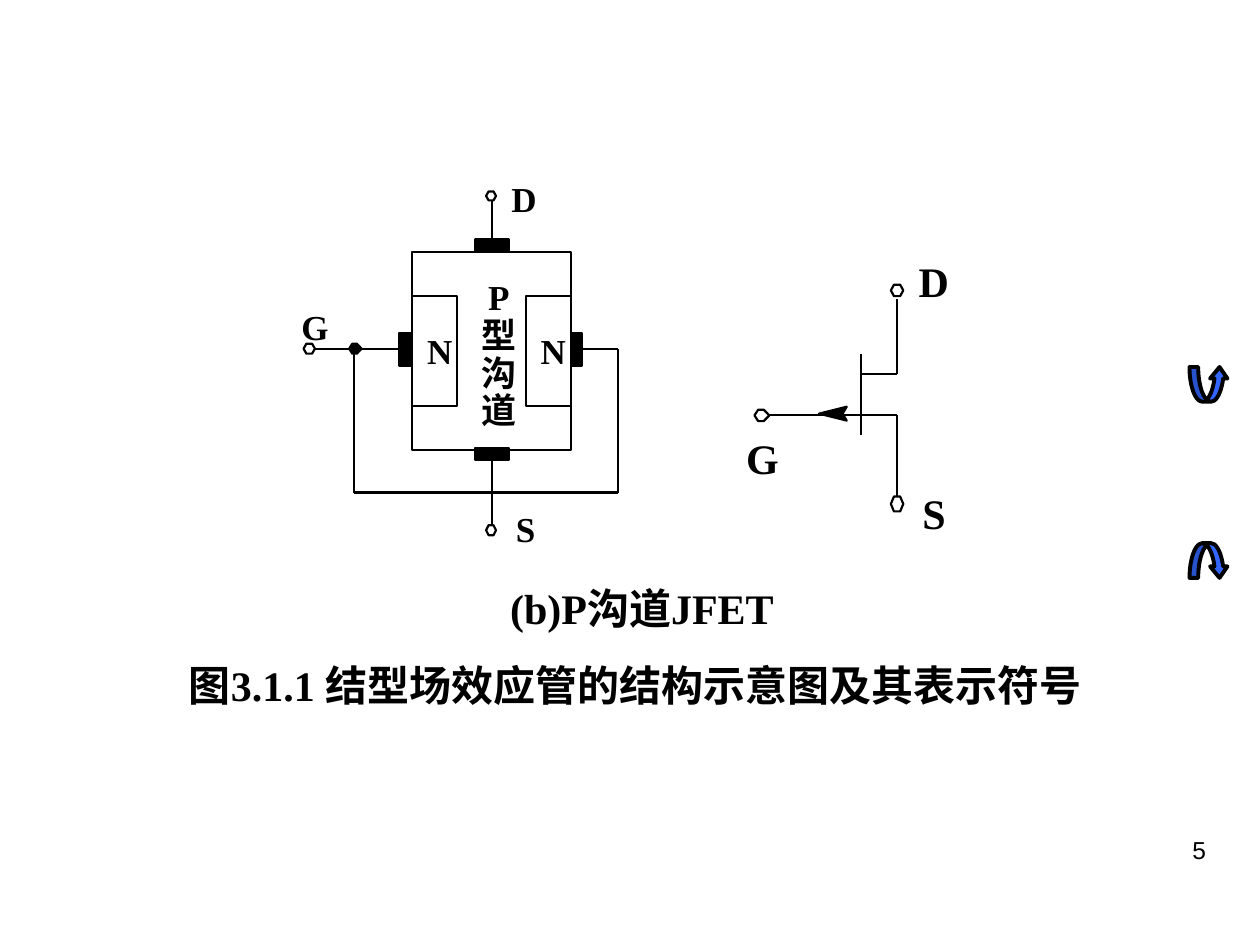
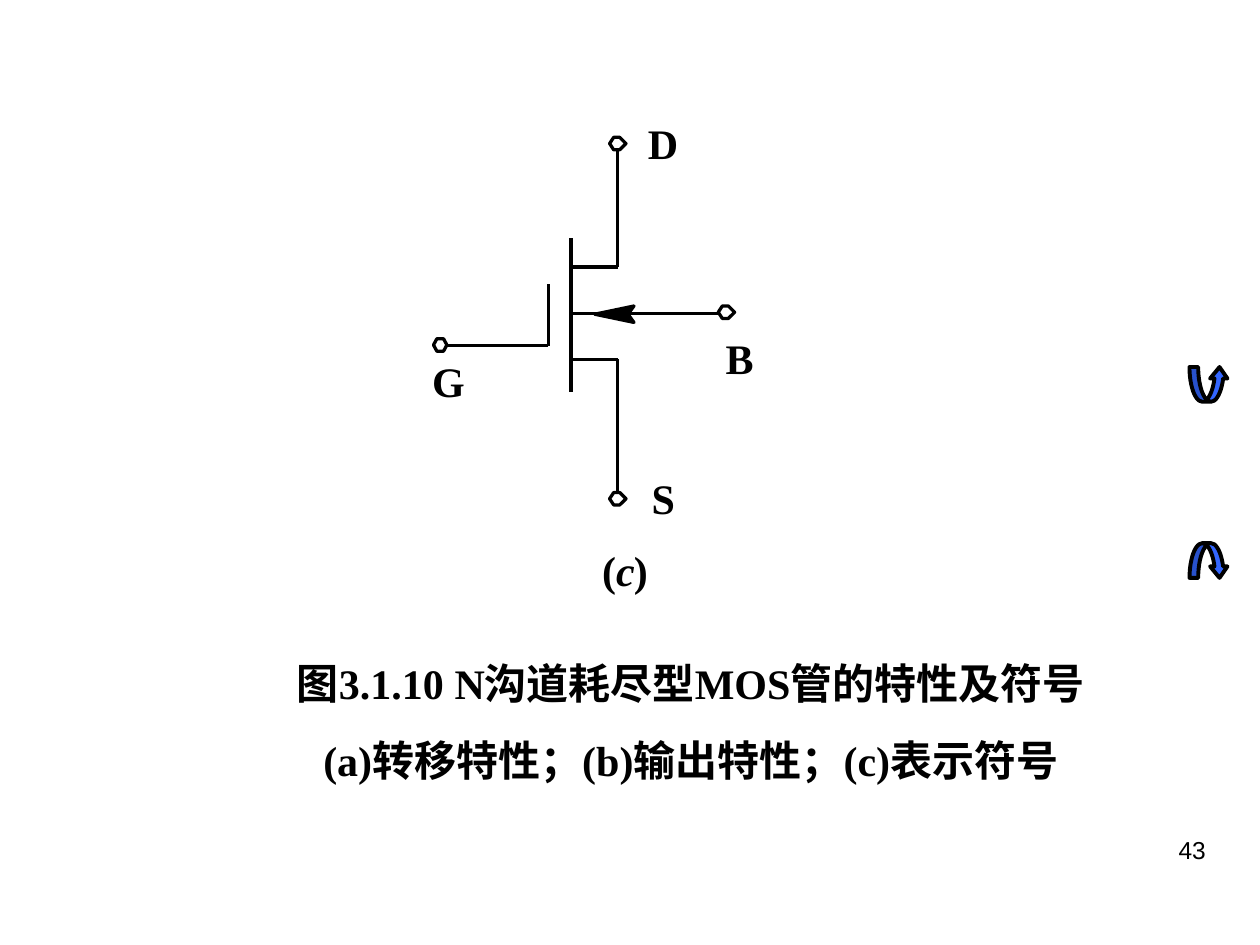
"""Build two slides with the structure and circuit symbols of field-effect transistors."""
import pptx
import pptx.dml.color
import pptx.enum.shapes
import pptx.enum.text
import pptx.oxml.ns
import pptx.util
from lxml import etree

Cm = pptx.util.Cm
Pt = pptx.util.Pt
ALIGN = pptx.enum.text.PP_ALIGN
PRESET = pptx.enum.shapes.MSO_SHAPE

BLACK = pptx.dml.color.RGBColor(0x00, 0x00, 0x00)
WHITE = pptx.dml.color.RGBColor(0xFF, 0xFF, 0xFF)
BLUE = pptx.dml.color.RGBColor(0x33, 0x66, 0xFF)
SERIF = "Times New Roman"
CHINESE = "Noto Sans CJK SC"


def add_text(slide, text, left, top, width, height, size=24, font=SERIF, bold=True,
             italic=False, align=ALIGN.CENTER, wrap=False, inset=0.0, gap=15):
    frame = slide.shapes.add_textbox(Cm(left), Cm(top), Cm(width), Cm(height)).text_frame
    frame.word_wrap = wrap
    frame.margin_left = frame.margin_right = Cm(inset)
    frame.margin_top = frame.margin_bottom = Cm(inset / 2)
    for index, line in enumerate(text.split("\n")):
        paragraph = frame.add_paragraph() if index else frame.paragraphs[0]
        paragraph.alignment = align
        if index:
            paragraph.space_before = Pt(gap)
        run = paragraph.add_run()
        run.text = line
        run.font.name = font
        run.font.size = Pt(size)
        run.font.bold = bold
        run.font.italic = italic
        run.font.color.rgb = BLACK
        east_asian = etree.SubElement(run.font._element, pptx.oxml.ns.qn("a:ea"))
        east_asian.set("typeface", CHINESE)


def paint(shape, fill, weight):
    shape.shadow.inherit = False
    shape.fill.solid()
    shape.fill.fore_color.rgb = fill
    shape.line.color.rgb = BLACK
    shape.line.width = Pt(weight)


jfet_wires = [
    (9.91, 3.94, 9.91, 10.59), (6.22, 7.04, 12.45, 7.04), (7.14, 7.04, 7.14, 9.93),
    (12.45, 9.93, 7.14, 9.93), (12.45, 7.04, 12.45, 9.93),
    (17.36, 8.76, 17.36, 7.14), (18.08, 7.54, 17.36, 7.54), (18.08, 8.37, 15.34, 8.37),
    (18.08, 6.02, 18.08, 7.54), (18.08, 8.37, 18.08, 10.01),
]
jfet_regions = [
    (8.31, 5.08, 3.2, 3.99, WHITE),
    (8.31, 5.97, 0.91, 2.21, WHITE), (10.6, 5.97, 0.91, 2.21, WHITE),
    (9.58, 4.83, 0.69, 0.23, BLACK), (9.58, 9.04, 0.69, 0.23, BLACK),
    (11.51, 6.71, 0.23, 0.66, BLACK), (8.05, 6.71, 0.25, 0.66, BLACK),
]
jfet_terminals = [
    (9.8, 3.86, 0.2, 0.18, 0.75, WHITE), (6.12, 6.93, 0.23, 0.2, 0.75, WHITE),
    (7.04, 6.93, 0.25, 0.2, 0.62, BLACK), (9.8, 10.59, 0.2, 0.2, 0.75, WHITE),
    (15.21, 8.26, 0.3, 0.23, 0.62, WHITE), (17.96, 5.74, 0.25, 0.23, 0.75, WHITE),
    (17.96, 10.01, 0.25, 0.3, 0.75, WHITE),
]
jfet_labels = [
    ("D", 10.31, 3.58, 0.51, 20), ("G", 6.07, 6.15, 0.56, 20), ("S", 10.39, 10.24, 0.41, 20),
    ("N", 8.61, 6.65, 0.51, 20), ("N", 10.9, 6.65, 0.51, 20),
    ("D", 18.52, 5.16, 0.61, 24), ("S", 18.59, 9.83, 0.48, 24), ("G", 15.04, 8.71, 0.66, 24),
]
jfet_labels += [(sign, 9.7, 5.56 + 0.76 * row, 0.71, 20) for row, sign in enumerate("P型沟道")]
jfet_captions = [
    ("(b)P沟道JFET", 9.83, 11.61, 6.22, 1.27, ALIGN.CENTER, False),
    ("图3.1.1 结型场效应管的结构示意图及其表示符号", 3.56, 13.18, 19.3, 1.27, ALIGN.JUSTIFY, True),
]

mos_wires = [
    (11.05, 6.97, 11.05, 5.72), (11.51, 7.9, 11.51, 4.8), (12.45, 5.38, 11.51, 5.38),
    (12.45, 5.38, 12.45, 2.9), (14.6, 6.32, 11.51, 6.32), (12.45, 7.24, 11.51, 7.24),
    (12.45, 10.06, 12.45, 7.24), (11.05, 6.97, 9.02, 6.97),
]
mos_terminals = [
    (8.74, 6.83, 0.27, 0.25, 0.75, WHITE), (12.29, 9.93, 0.33, 0.25, 0.62, WHITE),
    (12.29, 2.77, 0.33, 0.25, 0.62, WHITE), (14.48, 6.17, 0.33, 0.25, 0.62, WHITE),
]
mos_labels = [
    ("D", 13.06, 2.36, 0.61, 24), ("G", 8.71, 7.16, 0.66, 24),
    ("S", 13.13, 9.53, 0.48, 24), ("B", 14.63, 6.71, 0.56, 24),
    ("(", 12.14, 10.97, 0.28, 24), ("c", 12.42, 10.97, 0.38, 24), (")", 12.78, 10.97, 0.28, 24),
]
mos_captions = [
    ("图3.1.10 N沟道耗尽型MOS管的特性及符号\n(a)转移特性；(b)输出特性；(c)表示符号",
     5.05, 13.13, 17.75, 2.82, ALIGN.CENTER, True),
]

figures = [
    ("5", 1.25, jfet_wires, jfet_regions, jfet_terminals, (16.51, 8.2, 0.56, 0.28),
     jfet_labels, jfet_captions),
    ("43", 1.87, mos_wires, [], mos_terminals, (11.99, 6.17, 0.79, 0.33),
     mos_labels, mos_captions),
]
turn_arrows = [(PRESET.CURVED_DOWN_ARROW, 10.95), (PRESET.CURVED_UP_ARROW, 7.4)]

deck = pptx.Presentation()
deck.slide_width = Cm(25.4)
deck.slide_height = Cm(19.05)

for page, weight, wires, regions, terminals, arrowhead, labels, captions in figures:
    slide = deck.slides.add_slide(deck.slide_layouts[6])

    for preset, top in turn_arrows:
        turn = slide.shapes.add_shape(preset, Cm(23.98), Cm(top), Cm(0.78), Cm(0.7))
        turn.adjustments[2] = 0.33
        paint(turn, BLUE, 2.25)
    add_text(slide, page, 18.21, 16.71, 6.35, 1.32, size=14, font="Arial", bold=False,
             align=ALIGN.RIGHT, wrap=True, inset=0.25)

    for ends in wires:
        wire = slide.shapes.add_connector(pptx.enum.shapes.MSO_CONNECTOR.STRAIGHT,
                                          *[Cm(value) for value in ends])
        wire.line.color.rgb = BLACK
        wire.line.width = Pt(weight)
        etree.SubElement(wire._element.spPr, pptx.oxml.ns.qn("a:effectLst"))

    for left, top, width, height, fill in regions:
        region = slide.shapes.add_shape(PRESET.RECTANGLE, Cm(left), Cm(top), Cm(width), Cm(height))
        paint(region, fill, weight)

    outlines = [
        (left, top, width, height, fill,
         [(0, 0.5), (0.25, 0), (shoulder, 0), (1, 0.5), (shoulder, 1), (0.25, 1)])
        for left, top, width, height, shoulder, fill in terminals
    ]
    outlines.append((*arrowhead, BLACK, [(1, 1), (0.85, 0.5), (1, 0), (0, 0.5)]))
    for left, top, width, height, fill, corners in outlines:
        points = [(Cm(left + x * width), Cm(top + y * height)) for x, y in corners]
        builder = slide.shapes.build_freeform(*points[0])
        builder.add_line_segments(points[1:], close=True)
        paint(builder.convert_to_shape(), fill, weight)

    for text, left, top, width, size in labels:
        add_text(slide, text, left, top, width, size * 0.04, size=size, italic=text == "c")

    for text, left, top, width, height, align, wrap in captions:
        add_text(slide, text, left, top, width, height, align=align, wrap=wrap, inset=0.25)

deck.save("out.pptx")
